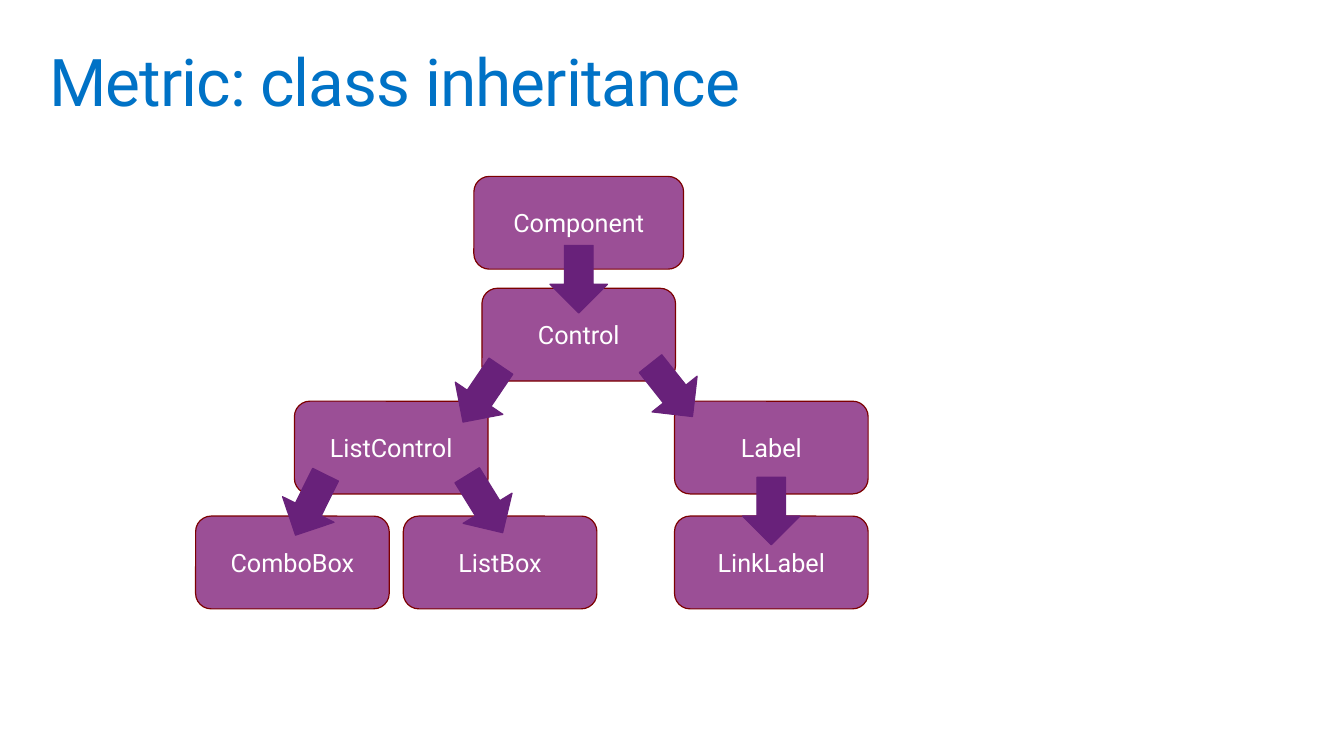
from dataclasses import dataclass

from pptx import Presentation
from pptx.dml.color import RGBColor
from pptx.enum.shapes import MSO_SHAPE as Shape
from pptx.enum.text import MSO_ANCHOR as Anchor, PP_ALIGN as Align
from pptx.util import Inches, Pt


@dataclass(frozen=True)
class Theme:
    font: str = "Roboto"
    title: RGBColor = RGBColor(0x00, 0x72, 0xC6)
    label: RGBColor = RGBColor(0xFF, 0xFF, 0xFF)
    node: RGBColor = RGBColor(0x9B, 0x4F, 0x96)
    border: RGBColor = RGBColor(0x7C, 0x00, 0x00)
    arrow: RGBColor = RGBColor(0x68, 0x21, 0x7A)
    title_size: float = 47
    label_size: float = 18
    line_width: float = 0.85


THEME = Theme()
SLIDE_SIZE = 13.33, 7.5
TITLE_AREA = 0.39, 0.39, 12.55, 0.98
TITLE_INSET = 0.1
ROOT_WIDTH, NODE_WIDTH, NODE_HEIGHT = 2.08, 1.92, 0.92
ARROW_SIZE = 0.57, 0.67

# Centre of each column and of each level of the tree
COLUMNS = {"combo": 2.9, "list": 3.88, "box": 4.96, "trunk": 5.74, "label": 7.65}
LEVELS = 2.21, 3.32, 4.44, 5.58

# Class name, column, level, width
CLASSES = (
    ("Component", "trunk", 0, ROOT_WIDTH),
    ("Control", "trunk", 1, NODE_WIDTH),
    ("ListControl", "list", 2, NODE_WIDTH),
    ("Label", "label", 2, NODE_WIDTH),
    ("ComboBox", "combo", 3, NODE_WIDTH),
    ("ListBox", "box", 3, NODE_WIDTH),
    ("LinkLabel", "label", 3, NODE_WIDTH),
)

# Centre of each inheritance arrow and its rotation in degrees
ARROWS = (
    (COLUMNS["trunk"], 2.77, 0),
    (4.78, 3.91, 34.1),
    (6.66, 3.87, 321.6),
    (3.08, 5.01, 26.4),
    (4.81, 5.0, 328.3),
    (COLUMNS["label"], 5.07, 0),
)


def set_format(target, values):
    for name, value in values.items():
        setattr(target, name, value)


def write_text(para, text, size, color):
    span = para.add_run()
    span.text = text
    set_format(span.font, {"name": THEME.font, "size": Pt(size)})
    span.font.color.rgb = color
    return span


def add_title(page, text):
    box = page.shapes.add_textbox(*map(Inches, TITLE_AREA))
    inset = Inches(TITLE_INSET)
    set_format(box.text_frame, {
        "word_wrap": True, "vertical_anchor": Anchor.TOP,
        "margin_left": inset, "margin_right": inset,
        "margin_top": inset, "margin_bottom": inset,
    })
    para = box.text_frame.paragraphs[0]
    para.line_spacing = 0.9
    span = write_text(para, text, THEME.title_size, THEME.title)
    span.font._element.set("spc", "-70")


def add_centred_shape(page, kind, centre, size, fill, line):
    (x, y), (width, height) = centre, size
    area = x - width / 2, y - height / 2, width, height
    shape = page.shapes.add_shape(kind, *map(Inches, area))
    shape.shadow.inherit = False
    shape.fill.solid()
    shape.fill.fore_color.rgb = fill
    shape.line.color.rgb = line
    shape.line.width = Pt(THEME.line_width)
    return shape


def add_class(page, name, column, level, width):
    node = add_centred_shape(
        page, Shape.ROUNDED_RECTANGLE, (COLUMNS[column], LEVELS[level]),
        (width, NODE_HEIGHT), THEME.node, THEME.border)
    set_format(node.text_frame, {"word_wrap": True, "vertical_anchor": Anchor.MIDDLE})
    para = node.text_frame.paragraphs[0]
    para.alignment = Align.CENTER
    write_text(para, name, THEME.label_size, THEME.label)


def add_arrow(page, x, y, rotation):
    arrow = add_centred_shape(
        page, Shape.DOWN_ARROW, (x, y), ARROW_SIZE, THEME.arrow, THEME.arrow)
    arrow.rotation = rotation


def main():
    deck = Presentation()
    deck.slide_width, deck.slide_height = map(Inches, SLIDE_SIZE)
    page = deck.slides.add_slide(deck.slide_layouts[6])
    add_title(page, "Metric: class inheritance")
    for entry in CLASSES:
        add_class(page, *entry)
    for entry in ARROWS:
        add_arrow(page, *entry)
    deck.save("out.pptx")


if __name__ == "__main__":
    main()
